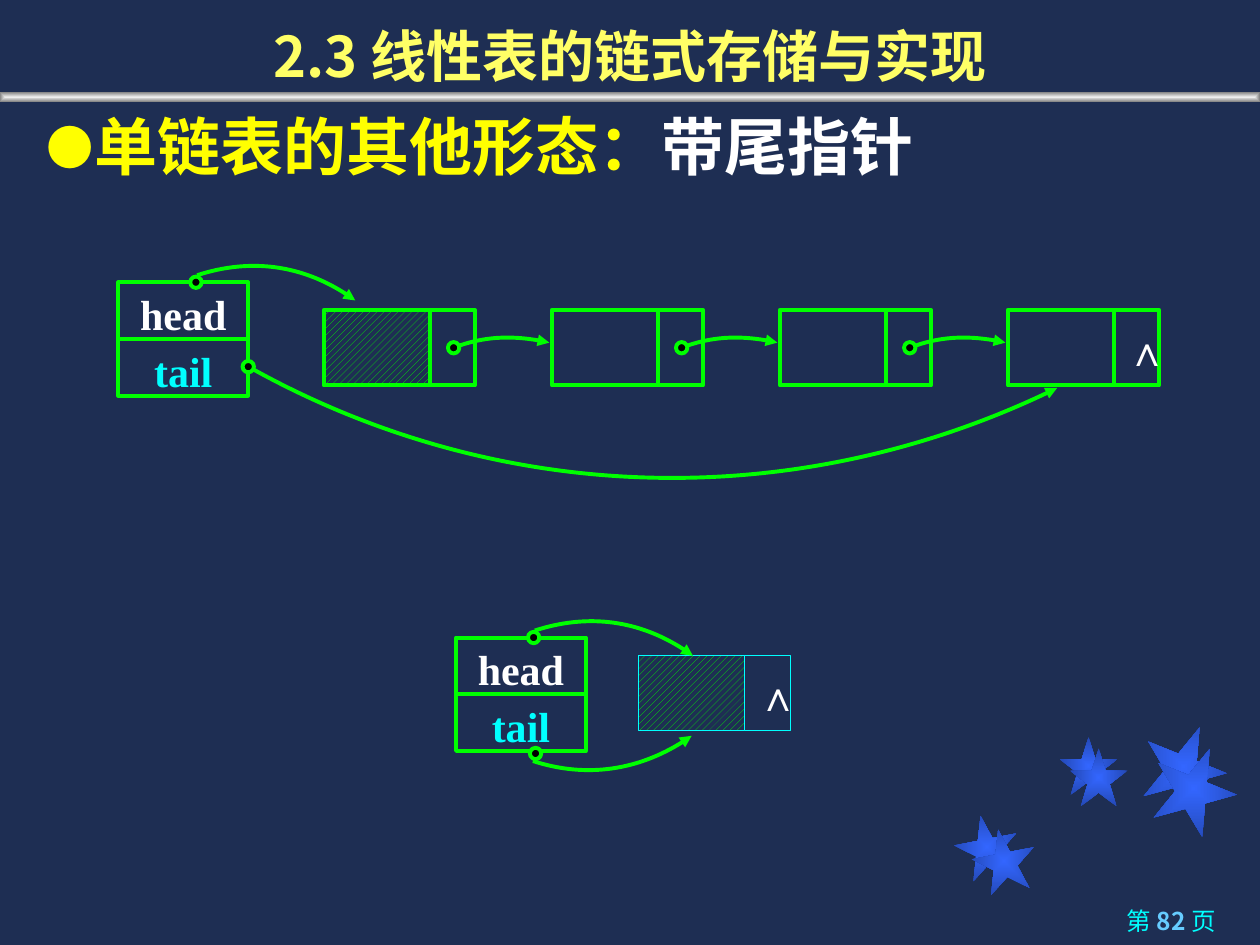
from dataclasses import dataclass

from lxml.etree import SubElement
from pptx import Presentation
from pptx.dml.color import RGBColor
from pptx.enum.dml import MSO_PATTERN
from pptx.enum.shapes import MSO_SHAPE as Preset
from pptx.enum.text import MSO_ANCHOR as Anchor, PP_ALIGN as Align
from pptx.oxml.ns import qn
from pptx.util import Inches, Pt


@dataclass(frozen=True)
class Theme:
    navy: str = "1E2E53"
    green: str = "00FF00"
    cyan: str = "00FFFF"
    sky: str = "66CCFF"
    white: str = "FFFFFF"
    black: str = "000000"
    yellow: str = "FFFF00"
    cream: str = "FFFF66"
    star: tuple = ("3366FF", "2449B6")
    bar: tuple = ("EDEDED", "808080")
    heading: int = 32
    topic: int = 36
    label: int = 24
    footer: int = 14
    stroke: float = 2.25
    hairline: float = 0.38
    sans: str = "Arial"
    serif: str = "Times New Roman"
    cjk: str = "Noto Sans CJK SC"


THEME = Theme()
COLUMNS, ROWS = 100, 75
NODE_STEP, DATA_WIDTH, LINK_WIDTH, NODE_HEIGHT = 18.1, 8.4, 3.6, 6
POINTER_WIDTH, POINTER_HEIGHT = 10.3, 4.5


def write(frame, *runs, size, font, align=Align.LEFT, anchor=Anchor.TOP,
          wrap=True, margins=(0.1, 0.05), before=0, bullet=None):
    frame.word_wrap = wrap
    frame.vertical_anchor = anchor
    frame.margin_left = frame.margin_right = Inches(margins[0])
    frame.margin_top = frame.margin_bottom = Inches(margins[1])
    paragraph = frame.paragraphs[0]
    paragraph.alignment = align
    paragraph.space_before = Pt(size * before)
    if bullet:
        props = paragraph._p.get_or_add_pPr()
        props.set("marL", str(Inches(0.38)))
        props.set("indent", str(-Inches(0.38)))
        SubElement(SubElement(props, qn("a:buClr")), qn("a:srgbClr"), val=bullet)
        SubElement(props, qn("a:buSzPct"), val="75000")
        SubElement(props, qn("a:buFont"), typeface=THEME.cjk)
        SubElement(props, qn("a:buChar"), char="●")
    for words, color, bold in runs:
        run = paragraph.add_run()
        run.text = words
        run.font.size, run.font.name, run.font.bold = Pt(size), font, bold
        run.font.color.rgb = RGBColor.from_string(color)
        SubElement(run._r.get_or_add_rPr(), qn("a:ea"), typeface=THEME.cjk)


class Board:
    def __init__(self, deck, theme):
        self.theme = theme
        self.slide = deck.slides.add_slide(deck.slide_layouts[6])
        self.column = deck.slide_width / COLUMNS
        self.row = deck.slide_height / ROWS
        backdrop = self.slide.background.fill
        backdrop.solid()
        backdrop.fore_color.rgb = RGBColor.from_string(theme.navy)

    def place(self, x, y):
        return round(x * self.column), round(y * self.row)

    def outline(self, shape, color, width):
        shape.shadow.inherit = False
        shape.fill.background()
        shape.line.color.rgb = RGBColor.from_string(color)
        shape.line.width = Pt(width)
        return shape

    def box(self, x, y, width, height, color=None, stroke=None, preset=Preset.RECTANGLE):
        shape = self.slide.shapes.add_shape(preset, *self.place(x, y), *self.place(width, height))
        return self.outline(shape, color or self.theme.green, stroke or self.theme.stroke)

    def text(self, x, y, width, height, *runs, **style):
        area = self.slide.shapes.add_textbox(*self.place(x, y), *self.place(width, height))
        write(area.text_frame, *runs, **style)

    def glow(self, x, y, width, height, colors, preset=Preset.RECTANGLE, turn=0):
        shape = self.box(x, y, width, height, preset=preset)
        shape.rotation = turn
        shape.line.fill.background()
        shape.fill.gradient()
        gradient = shape._element.spPr.find(qn("a:gradFill"))
        for part in list(gradient):
            gradient.remove(part)
        stops = SubElement(gradient, qn("a:gsLst"))
        for position, color in zip(("0", "100000"), colors):
            stop = SubElement(stops, qn("a:gs"), pos=position)
            SubElement(stop, qn("a:srgbClr"), val=color)
        focus = SubElement(gradient, qn("a:path"), path="shape")
        SubElement(focus, qn("a:fillToRect"), l="50000", t="50000", r="50000", b="50000")

    def ring(self, x, y):
        dot = self.box(x - 0.45, y - 0.45, 0.9, 0.9, preset=Preset.OVAL)
        dot.fill.solid()
        dot.fill.fore_color.rgb = RGBColor.from_string(self.theme.black)

    def arc(self, *points):
        start, *rest = [self.place(*point) for point in points]
        builder = self.slide.shapes.build_freeform(*start)
        builder.add_line_segments(rest, close=False)
        arrow = self.outline(builder.convert_to_shape(), self.theme.green, self.theme.stroke)
        route = arrow._element.spPr.find(".//" + qn("a:path"))
        segments = route.findall(qn("a:lnTo"))
        curve = SubElement(route, qn("a:cubicBezTo"))
        for segment in segments:
            curve.append(segment[0])
            route.remove(segment)
        SubElement(arrow.line._get_or_add_ln(), qn("a:tailEnd"), type="triangle")

    def node(self, x, y, color=None, stroke=None, header=False, last=False):
        self.box(x + DATA_WIDTH, y, LINK_WIDTH, NODE_HEIGHT, color, stroke)
        if last:
            self.text(x + 9.4, y + 1.15, 2, 4, ("∧", self.theme.white, True),
                      size=self.theme.label, font=self.theme.sans, align=Align.CENTER,
                      wrap=False, margins=(0, 0), before=0.2)
        data = self.box(x, y, DATA_WIDTH, NODE_HEIGHT, color, stroke)
        if header:
            data.fill.patterned()
            data.fill.pattern = MSO_PATTERN.WIDE_UPWARD_DIAGONAL
            data.fill.fore_color.rgb = RGBColor.from_string(self.theme.green)
            data.fill.back_color.rgb = RGBColor.from_string(self.theme.navy)

    def link(self, x, y):
        self.arc((x + 10.3, y + 3), (x + 12.65, y + 2.1), (x + 15.4, y + 2), (x + 17.9, y + 2.6))
        self.ring(x + 10.3, y + 3)

    def pointers(self, x, y):
        labels = (("head", self.theme.white), ("tail", self.theme.cyan))
        for index, (name, color) in enumerate(labels):
            cell = self.box(x, y + index * POINTER_HEIGHT, POINTER_WIDTH, POINTER_HEIGHT)
            write(cell.text_frame, (name, color, True), size=self.theme.label,
                  font=self.theme.serif, align=Align.CENTER, before=0.2)
        self.arc((x + 6.25, y - 0.55), (x + 10.55, y - 1.95),
                 (x + 15.15, y - 1.25), (x + 18.8, y + 1.45))
        self.ring(x + 6.15, y)


def main():
    deck = Presentation()
    deck.slide_width, deck.slide_height = Inches(10), Inches(7.5)
    board = Board(deck, THEME)

    stars = ((75.8, 64.7, 5, 349), (84.1, 58.5, 4.6, 0), (90.6, 57.5, 6.7, 22),
             (77.2, 65.8, 5, 349), (84.9, 59.4, 4.6, 0), (91.4, 59.2, 6.7, 22))
    for x, y, size, turn in stars:
        board.glow(x, y, size, size, THEME.star, Preset.STAR_5_POINT, turn)
    board.glow(0, 7.3, COLUMNS, 0.8, THEME.bar)

    board.text(71.2, 71.4, 26.3, 3.6, ("第 ", THEME.cyan, False), ("82 ", THEME.sky, True),
               ("页", THEME.cyan, False), size=THEME.footer, font=THEME.cjk,
               align=Align.RIGHT, before=0.2)
    board.text(0, 0, COLUMNS, 7.5, ("2.3 线性表的链式存储与实现", THEME.cream, True),
               size=THEME.heading, font=THEME.cjk, align=Align.CENTER, anchor=Anchor.BOTTOM)
    board.text(2.7, 8, 94.5, 35.5, ("单链表的其他形态：", THEME.yellow, True),
               ("带尾指针", THEME.white, True), size=THEME.topic, font=THEME.sans,
               bullet=THEME.yellow)

    board.pointers(9.4, 22.4)
    board.arc((19.7, 29.1), (39.5, 40.2), (63.5, 40.8), (83.9, 30.8))
    board.ring(19.7, 29.1)
    for index in range(4):
        left = 25.7 + index * NODE_STEP
        board.node(left, 24.6, header=index == 0, last=index == 3)
        if index < 3:
            board.link(left, 24.6)

    board.node(50.7, 52, THEME.cyan, THEME.hairline, header=True, last=True)
    board.pointers(36.2, 50.6)
    board.arc((42.3, 60.4), (46.6, 61.8), (51.3, 61), (54.9, 58.4))
    board.ring(42.5, 59.8)
    deck.save("out.pptx")


if __name__ == "__main__":
    main()
